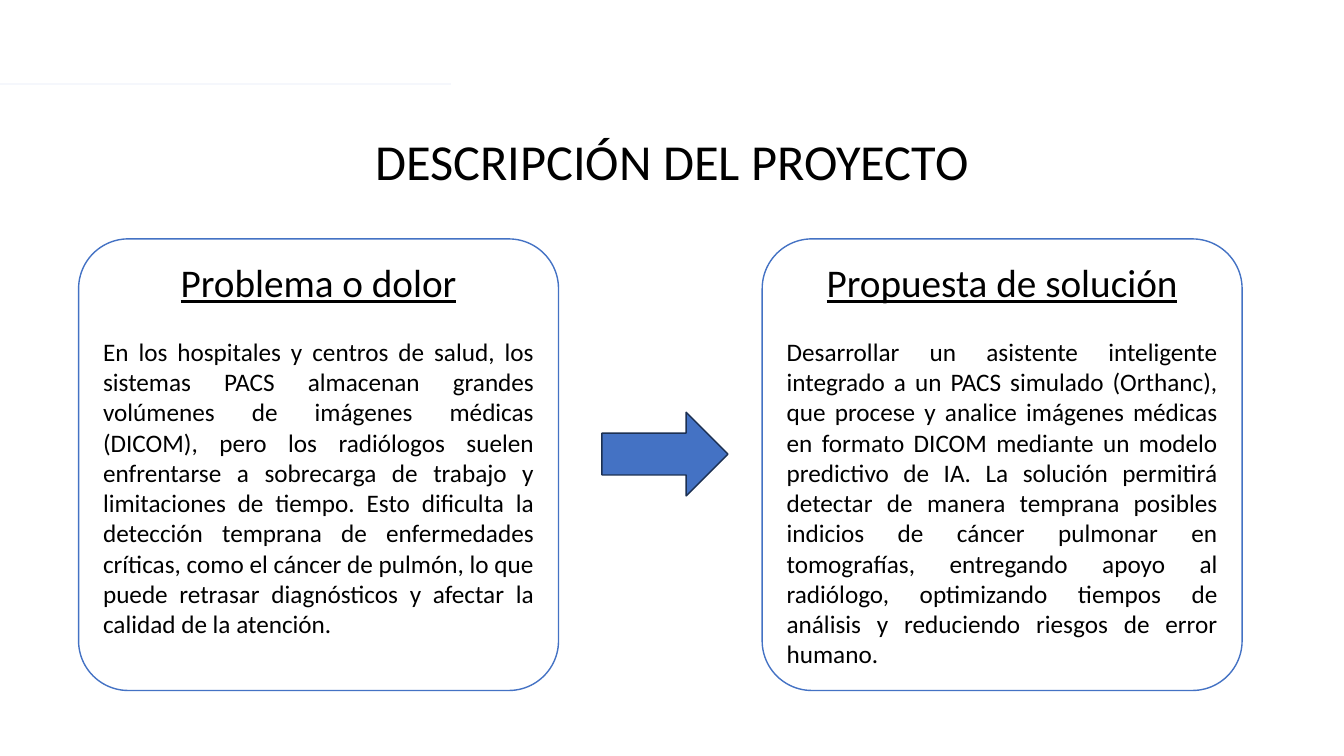
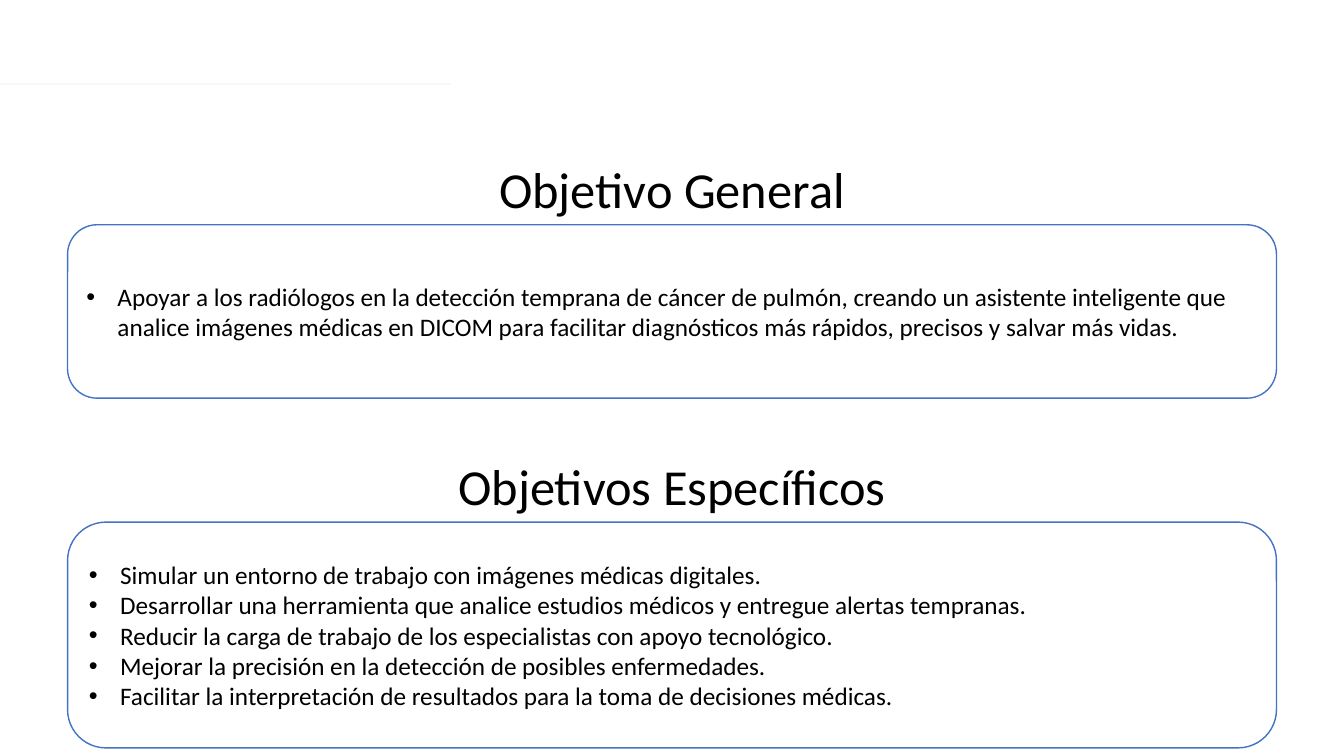
from dataclasses import dataclass

import pptx
import pptx.util
from lxml import etree
from pptx.dml.color import RGBColor
from pptx.enum.shapes import MSO_CONNECTOR, MSO_SHAPE
from pptx.enum.text import MSO_ANCHOR, MSO_AUTO_SIZE, PP_ALIGN
from pptx.oxml.ns import qn
from pptx.util import Inches, Pt


@dataclass(frozen=True)
class Theme:
    font: str = "Calibri"
    ink: RGBColor = RGBColor(0, 0, 0)
    white: RGBColor = RGBColor(255, 255, 255)
    blue: RGBColor = RGBColor(0x44, 0x72, 0xC4)
    navy: RGBColor = RGBColor(0x1C, 0x30, 0x52)
    pale: RGBColor = RGBColor(0xF5, 0xF7, 0xFC)
    title: int = 36
    head: int = 28
    body: int = 18


@dataclass(frozen=True)
class Box:
    left: float
    top: float
    width: float
    height: float


@dataclass(frozen=True)
class Card:
    left: float
    head: str
    body: str


@dataclass(frozen=True)
class Goal:
    title: str
    title_top: float
    title_idx: int
    list_idx: int
    height: float
    items: tuple[str, ...]


THEME = Theme()
WIDTH = 13.33
TITLE_HEIGHT = 0.71
ROUND_INSET = 0.293  # share of the corner radius kept free of text

CARDS = (
    Card(
        0.78,
        "Problema o dolor",
        "En los hospitales y centros de salud, los sistemas PACS almacenan grandes "
        "volúmenes de imágenes médicas (DICOM), pero los radiólogos suelen enfrentarse "
        "a sobrecarga de trabajo y limitaciones de tiempo. Esto dificulta la detección "
        "temprana de enfermedades críticas, como el cáncer de pulmón, lo que puede "
        "retrasar diagnósticos y afectar la calidad de la atención.",
    ),
    Card(
        7.56,
        "Propuesta de solución",
        "Desarrollar un asistente inteligente integrado a un PACS simulado (Orthanc), "
        "que procese y analice imágenes médicas en formato DICOM mediante un modelo "
        "predictivo de IA. La solución permitirá detectar de manera temprana posibles "
        "indicios de cáncer pulmonar en tomografías, entregando apoyo al radiólogo, "
        "optimizando tiempos de análisis y reduciendo riesgos de error humano.",
    ),
)

GOALS = (
    Goal(
        "Objetivo General", 1.51, 0, 2, 1.72,
        (
            "Apoyar a los radiólogos en la detección temprana de cáncer de pulmón, "
            "creando un asistente inteligente que analice imágenes médicas en DICOM "
            "para facilitar diagnósticos más rápidos, precisos y salvar más vidas.",
        ),
    ),
    Goal(
        "Objetivos Específicos", 4.46, 1, 4, 2.24,
        (
            "Simular un entorno de trabajo con imágenes médicas digitales.",
            "Desarrollar una herramienta que analice estudios médicos y entregue "
            "alertas tempranas.",
            "Reducir la carga de trabajo de los especialistas con apoyo tecnológico.",
            "Mejorar la precisión en la detección de posibles enfermedades.",
            "Facilitar la interpretación de resultados para la toma de decisiones médicas.",
        ),
    ),
)


def place(shape, box: Box) -> None:
    shape.left, shape.top = Inches(box.left), Inches(box.top)
    shape.width, shape.height = Inches(box.width), Inches(box.height)


def style(para, size: int, align: PP_ALIGN, before: float = 0) -> None:
    para.alignment = align
    para.space_before = Pt(before)
    para.font.name = THEME.font
    para.font.size = Pt(size)
    para.font.bold = False
    para.font.color.rgb = THEME.ink


def add_form(slide, kind: MSO_SHAPE, box: Box, fill: RGBColor, edge: RGBColor):
    form = slide.shapes.add_shape(
        kind, Inches(box.left), Inches(box.top), Inches(box.width), Inches(box.height)
    )
    form.shadow.inherit = False
    form.fill.solid()
    form.fill.fore_color.rgb = fill
    form.line.color.rgb = edge
    form.line.width = Pt(1)
    return form


def add_panel(slide, box: Box, curve: float):
    panel = add_form(slide, MSO_SHAPE.ROUNDED_RECTANGLE, box, THEME.white, THEME.blue)
    panel.adjustments[0] = curve
    return panel


def add_rule(slide) -> None:
    """Draw the faint line at the top left of every slide."""
    rule = slide.shapes.add_connector(
        MSO_CONNECTOR.STRAIGHT, 0, Inches(0.83), Inches(4.47), Inches(0.83)
    )
    rule.line.color.rgb = THEME.pale
    rule.line.width = Pt(1.25)
    etree.SubElement(rule.element.spPr, qn("a:effectLst"))


def set_title(holder, text: str, top: float) -> None:
    place(holder, Box(0, top, WIDTH, TITLE_HEIGHT))
    frame = holder.text_frame
    frame.text = text
    frame.auto_size = MSO_AUTO_SIZE.NONE
    frame.vertical_anchor = MSO_ANCHOR.MIDDLE
    style(frame.paragraphs[0], THEME.title, PP_ALIGN.CENTER)


def add_card(slide, card: Card) -> None:
    panel = add_panel(slide, Box(card.left, 2.37, 4.76, 4.48), 0.11)
    frame = panel.text_frame
    frame.word_wrap = True
    frame.vertical_anchor = MSO_ANCHOR.TOP
    frame.text = card.head
    head = frame.paragraphs[0]
    style(head, THEME.head, PP_ALIGN.CENTER)
    head.font.underline = True
    body = frame.add_paragraph()
    body.text = card.body
    style(body, THEME.body, PP_ALIGN.JUSTIFY, before=22)


def add_goal(slide, goal: Goal) -> None:
    """Fill a heading and its bullet list, with a rounded panel behind the list."""
    holders = {h.placeholder_format.idx: h for h in slide.placeholders}
    set_title(holders[goal.title_idx], goal.title, goal.title_top)

    curve = 0.17
    box = Box(0.67, goal.title_top + TITLE_HEIGHT + 0.01, 11.99, goal.height)
    panel = add_panel(slide, box, curve)
    holder = holders[goal.list_idx]
    holder.element.addprevious(panel.element)

    inset = curve * box.height * ROUND_INSET
    place(holder, Box(box.left + inset, box.top + inset,
                      box.width - 2 * inset, box.height - 2 * inset))
    frame = holder.text_frame
    frame.text = "\n".join(goal.items)
    frame.auto_size = MSO_AUTO_SIZE.NONE
    frame.vertical_anchor = MSO_ANCHOR.MIDDLE
    for para in frame.paragraphs:
        props = para._p.get_or_add_pPr()
        props.set("marL", str(Inches(0.31)))
        props.set("indent", str(-Inches(0.31)))
        style(para, THEME.body, PP_ALIGN.LEFT)


def build_project(deck) -> None:
    slide = deck.slides.add_slide(deck.slide_layouts.get_by_name("Title Only"))
    set_title(slide.shapes.title, "DESCRIPCIÓN DEL PROYECTO", 1.24)
    add_rule(slide)
    for card in CARDS:
        add_card(slide, card)
    add_form(slide, MSO_SHAPE.RIGHT_ARROW, Box(5.97, 4.09, 1.25, 0.83),
             THEME.blue, THEME.navy)


def build_goals(deck) -> None:
    slide = deck.slides.add_slide(deck.slide_layouts.get_by_name("Comparison"))
    add_rule(slide)
    for goal in GOALS:
        add_goal(slide, goal)
    for holder in list(slide.placeholders):
        if not holder.text_frame.text:
            holder.element.getparent().remove(holder.element)


def main() -> None:
    deck = pptx.Presentation()
    deck.slide_width, deck.slide_height = Inches(WIDTH), Inches(7.5)
    build_project(deck)
    build_goals(deck)
    deck.save("out.pptx")


if __name__ == "__main__":
    main()
